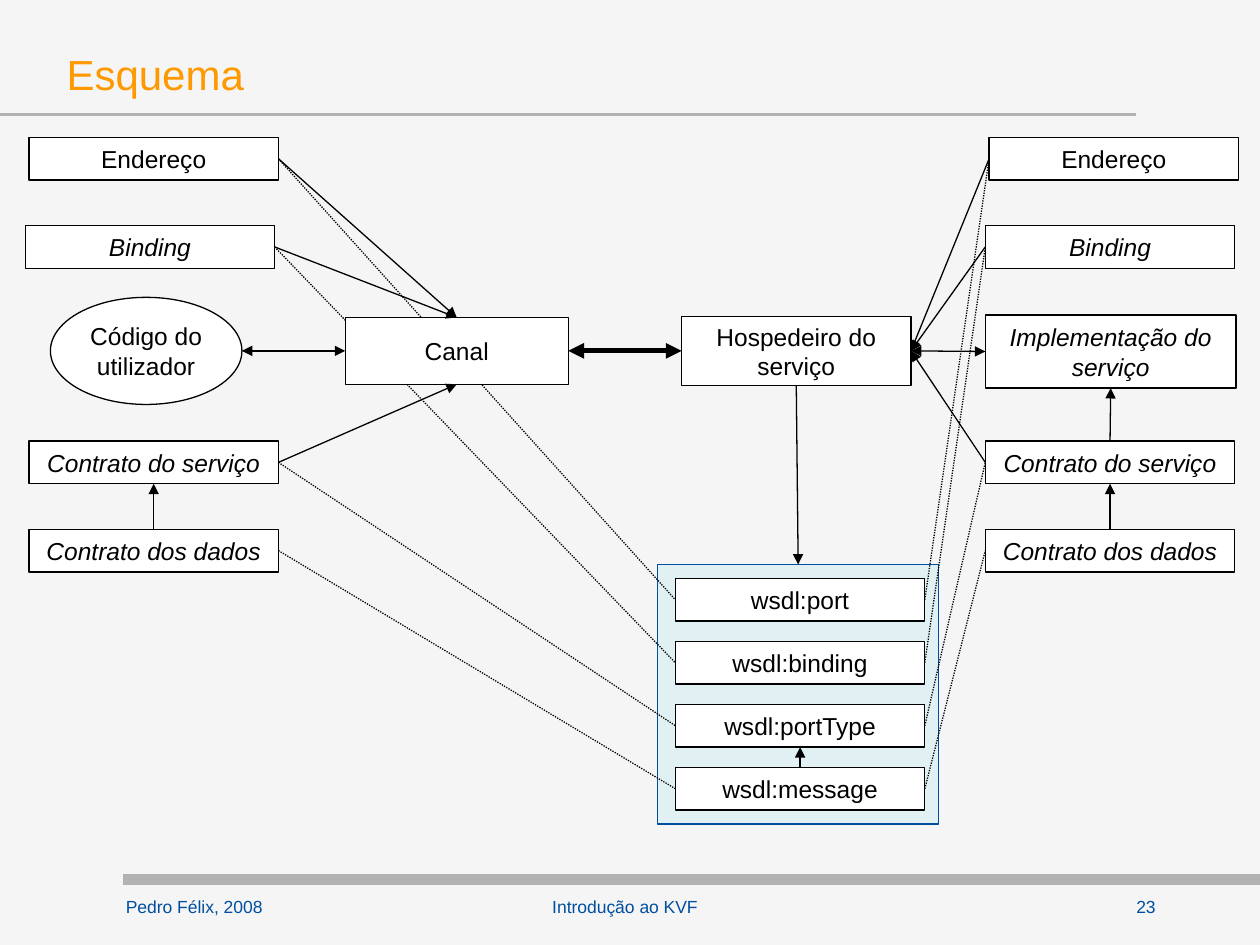
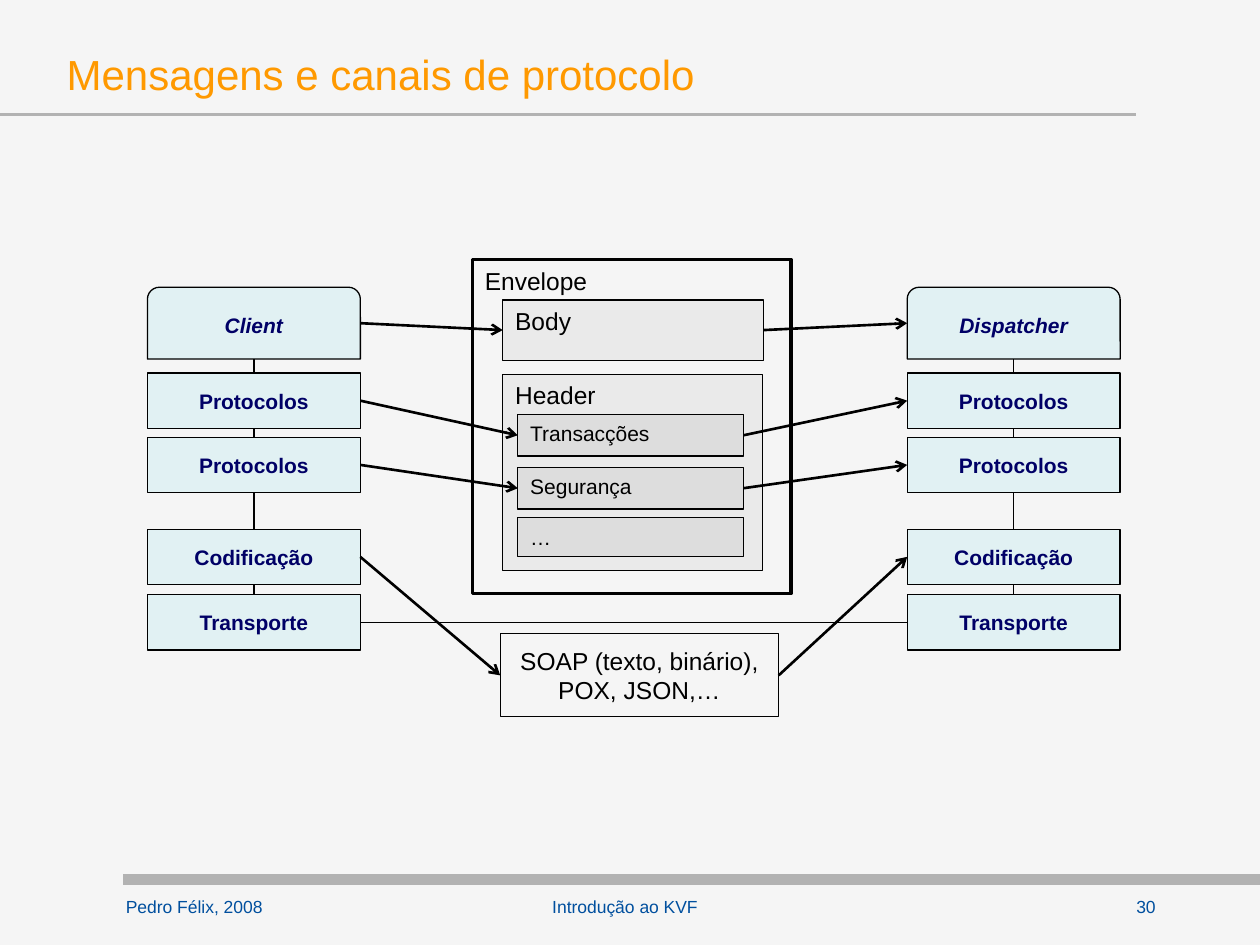
from pptx import Presentation
from pptx import util as u
from pptx.dml.color import RGBColor
from pptx.enum import dml, shapes, text
from pptx.oxml.ns import qn
from lxml import etree

COLORS = {
    "background": "F5F5F5", "title": "FF9900", "footer": "004F9E",
    "band": "B2B2B2", "black": "000000", "white": "FFFFFF",
    "panel": "E1F1F3", "layer_text": "000066",
    "part": "EAEAEA", "header_row": "DDDDDD",
}
FONT = "Arial"
SHAPE = shapes.MSO_SHAPE
LEFT, CENTER = text.PP_ALIGN.LEFT, text.PP_ALIGN.CENTER
TOP, MIDDLE = text.MSO_ANCHOR.TOP, text.MSO_ANCHOR.MIDDLE


def rgb(name):
    return RGBColor.from_string(COLORS[name])


def inches(*values):
    return [u.Inches(v) for v in values]


def write(sp, words, size, color="black", align=CENTER, anchor=MIDDLE,
          bold=False, italic=False, wrap=True):
    tf = sp.text_frame
    tf.text = words
    tf.word_wrap = wrap
    tf.vertical_anchor = anchor
    for p in tf.paragraphs:
        p.alignment = align
        p.font.name, p.font.size = FONT, u.Pt(size)
        p.font.bold, p.font.italic = bold, italic
        p.font.color.rgb = rgb(color)


def add_text(s, box, words, size, color, **style):
    write(s.shapes.add_textbox(*inches(*box)), words, size, color, **style)


def add_box(s, box, words="", fill="white", line="black", width=0.75,
            kind=SHAPE.RECTANGLE, size=14, **style):
    sp = s.shapes.add_shape(kind, *inches(*box))
    sp.shadow.inherit = False
    if fill:
        sp.fill.solid()
        sp.fill.fore_color.rgb = rgb(fill)
    else:
        sp.fill.background()
    sp.line.color.rgb = rgb(line)
    sp.line.width = u.Pt(width)
    if words:
        write(sp, words, size, **style)
    return sp


def add_line(s, start, end, color="black", width=0.75, dotted=False,
             head=None, tail=None):
    """Draw a straight line between two (x, y) points, head being at the start."""
    cx = s.shapes.add_connector(shapes.MSO_CONNECTOR.STRAIGHT, *start, *end)
    cx.line.color.rgb = rgb(color)
    cx.line.width = u.Pt(width)
    if dotted:
        cx.line.dash_style = dml.MSO_LINE.ROUND_DOT
    ln = cx.line._get_or_add_ln()
    for tag, arrow in (("a:headEnd", head), ("a:tailEnd", tail)):
        if arrow:
            etree.SubElement(ln, qn(tag), type=arrow)
    etree.SubElement(cx._element.spPr, qn("a:effectLst"))


def side(sp, name):
    """Return the middle point of one side of a shape."""
    mid_x, mid_y = sp.left + sp.width // 2, sp.top + sp.height // 2
    return {
        "left": (sp.left, mid_y), "right": (sp.left + sp.width, mid_y),
        "top": (mid_x, sp.top), "bottom": (mid_x, sp.top + sp.height),
    }[name]


def link(s, a, a_side, b, b_side, **style):
    add_line(s, side(a, a_side), side(b, b_side), **style)


def add_slide(prs, title, number):
    s = prs.slides.add_slide(prs.slide_layouts[6])
    s.background.fill.solid()
    s.background.fill.fore_color.rgb = rgb("background")
    add_line(s, inches(0.98, 6.98), inches(10, 6.98), "band", 6)
    add_line(s, inches(0, 0.91), inches(9.02, 0.91), "band", 1.5)
    add_text(s, (0.43, 0.28, 8.98, 0.61), title, 24, "title", align=LEFT)
    for box, words, align in (
            ((0.9, 7.06, 1.31, 0.32), "Pedro Félix, 2008", LEFT),
            ((2.48, 7.06, 4.96, 0.29), "Introdução ao KVF", CENTER),
            ((8.7, 7.06, 0.79, 0.32), str(number), CENTER)):
        add_text(s, box, words, 10, "footer", align=align, anchor=TOP)
    return s


def build_schema(prs):
    s = add_slide(prs, "Esquema", 23)
    panel = add_box(s, (5.22, 4.48, 2.23, 2.06), fill="panel", line="footer")

    # Each row: label, top, left of the client box, left of the service box
    rows = (("Endereço", 1.09, 0.23, 7.85), ("Binding", 1.79, 0.2, 7.82),
            ("Contrato do serviço", 3.5, 0.23, 7.82),
            ("Contrato dos dados", 4.2, 0.23, 7.82))
    client, service = [
        [add_box(s, (row[col], row[1], 1.98, 0.34), row[0],
                 italic=row[0] != "Endereço") for row in rows]
        for col in (2, 3)]
    wsdl = [add_box(s, (5.36, 4.59 + 0.5 * i, 1.98, 0.34), "wsdl:" + name)
            for i, name in enumerate(("port", "binding", "portType", "message"))]
    for ours, entry, theirs in zip(client, wsdl, service):
        link(s, ours, "right", entry, "left", dotted=True)
        link(s, entry, "right", theirs, "left", dotted=True)

    channel = add_box(s, (2.74, 2.52, 1.77, 0.53), "Canal")
    host = add_box(s, (5.41, 2.51, 1.82, 0.55), "Hospedeiro do serviço")
    user_code = add_box(s, (0.4, 2.36, 1.52, 0.85), "Código do\nutilizador",
                        kind=SHAPE.OVAL, wrap=False)
    implementation = add_box(s, (7.82, 2.5, 1.99, 0.58),
                             "Implementação do serviço", italic=True)

    for ours, theirs, end in zip(client, service, ("top", "top", "bottom")):
        link(s, ours, "right", channel, end, tail="triangle")
        link(s, theirs, "left", host, "right", tail="triangle")
    for lower, upper in ((client[3], client[2]), (service[3], service[2]),
                         (service[2], implementation), (wsdl[3], wsdl[2])):
        link(s, lower, "top", upper, "bottom", tail="triangle")
    for a, b, width in ((user_code, channel, 0.75), (channel, host, 3),
                        (host, implementation, 0.75)):
        link(s, a, "right", b, "left", width=width,
             head="triangle", tail="triangle")
    link(s, host, "bottom", panel, "top", tail="triangle")


def add_stack(s, x, top_label):
    """Draw a column of channel layers joined by short lines."""
    style = dict(fill="panel", size=12, color="layer_text", bold=True)
    stack = [add_box(s, (x, 2.28, 1.69, 0.57), top_label, italic=True,
                     kind=SHAPE.ROUND_2_SAME_RECTANGLE, **style)]
    for label, y in (("Protocolos", 2.96), ("Protocolos", 3.47),
                     ("Codificação", 4.2), ("Transporte", 4.72)):
        stack.append(add_box(s, (x, y, 1.69, 0.44), label, **style))
    for upper, lower in zip(stack, stack[1:]):
        link(s, upper, "bottom", lower, "top")
    return stack


def build_messages(prs):
    s = add_slide(prs, "Mensagens e canais de protocolo", 30)
    client = add_stack(s, 1.17, "Client")
    dispatcher = add_stack(s, 7.2, "Dispatcher")
    link(s, client[-1], "right", dispatcher[-1], "left")

    label = dict(align=LEFT, anchor=TOP)
    add_box(s, (3.75, 2.06, 2.53, 2.65), "Envelope", fill=None, width=2, **label)
    add_box(s, (3.99, 2.97, 2.06, 1.56), "Header", fill="part", **label)
    body = add_box(s, (3.99, 2.38, 2.07, 0.48), "Body", fill="part", **label)
    transactions, security, _ = [
        add_box(s, (4.11, y, 1.79, h), words, fill="header_row", size=12, **label)
        for words, y, h in (("Transacções", 3.29, 0.33),
                            ("Segurança", 3.71, 0.33), ("…", 4.11, 0.31))]
    encoding = add_box(s, (3.97, 5.03, 2.21, 0.66),
                       "SOAP (texto, binário), POX, JSON,…", fill=None)

    parts = (body, transactions, security, encoding)
    for sender, part, receiver in zip(client, parts, dispatcher):
        link(s, sender, "right", part, "left", width=1.5, tail="arrow")
        link(s, part, "right", receiver, "left", width=1.5, tail="arrow")


def main():
    prs = Presentation()
    prs.slide_width, prs.slide_height = inches(10, 7.5)
    build_schema(prs)
    build_messages(prs)
    prs.save("out.pptx")


if __name__ == "__main__":
    main()
